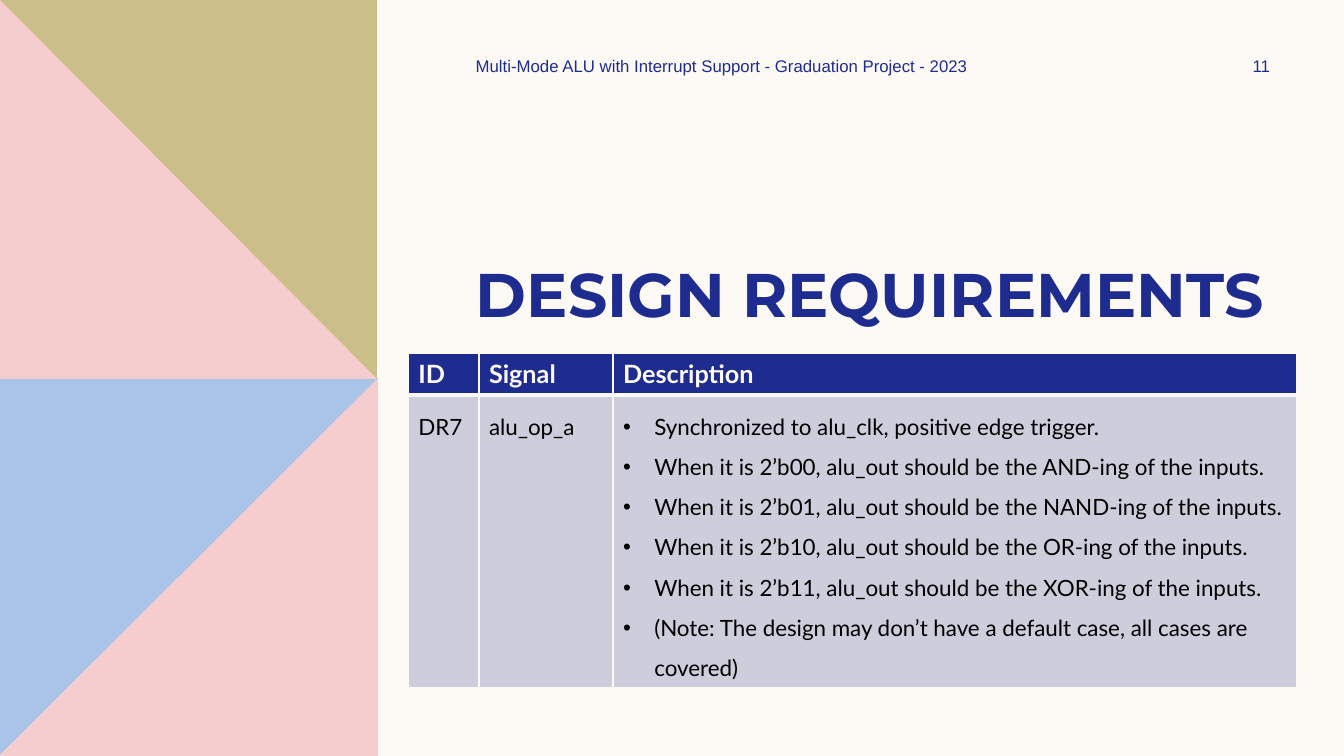
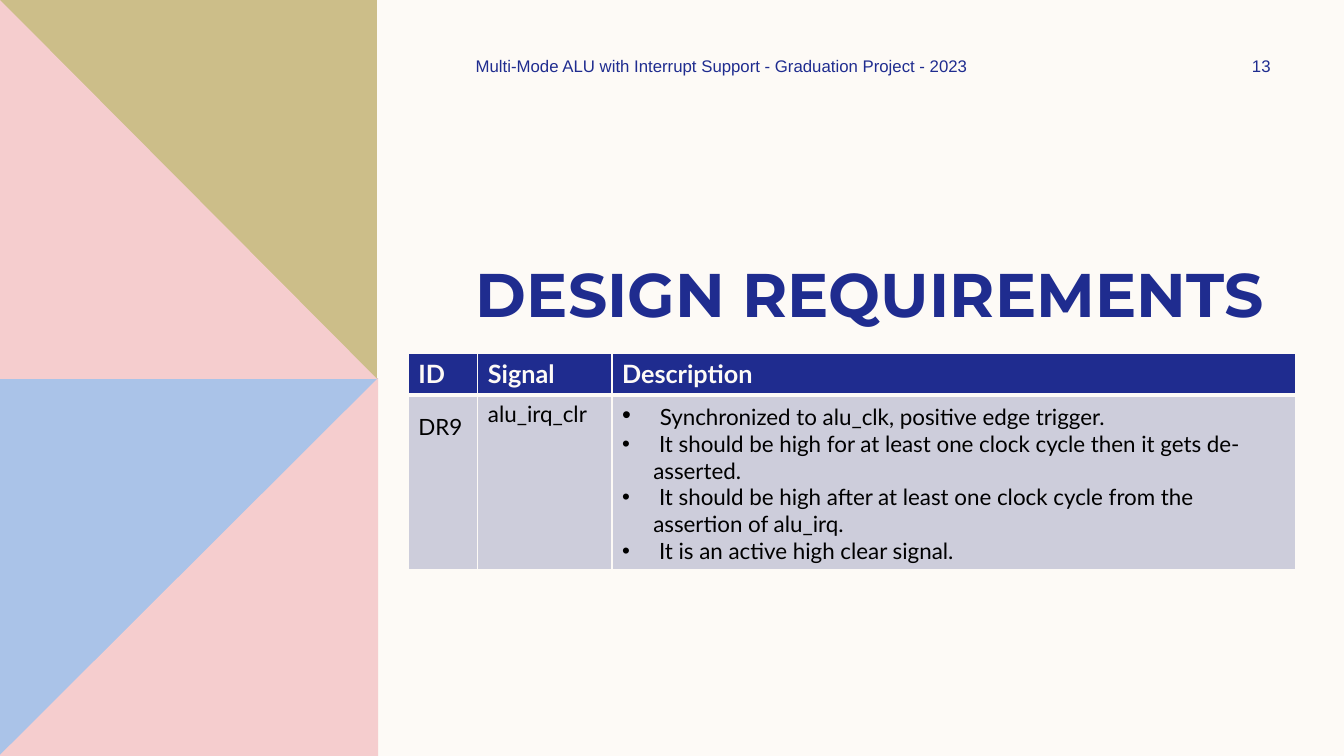
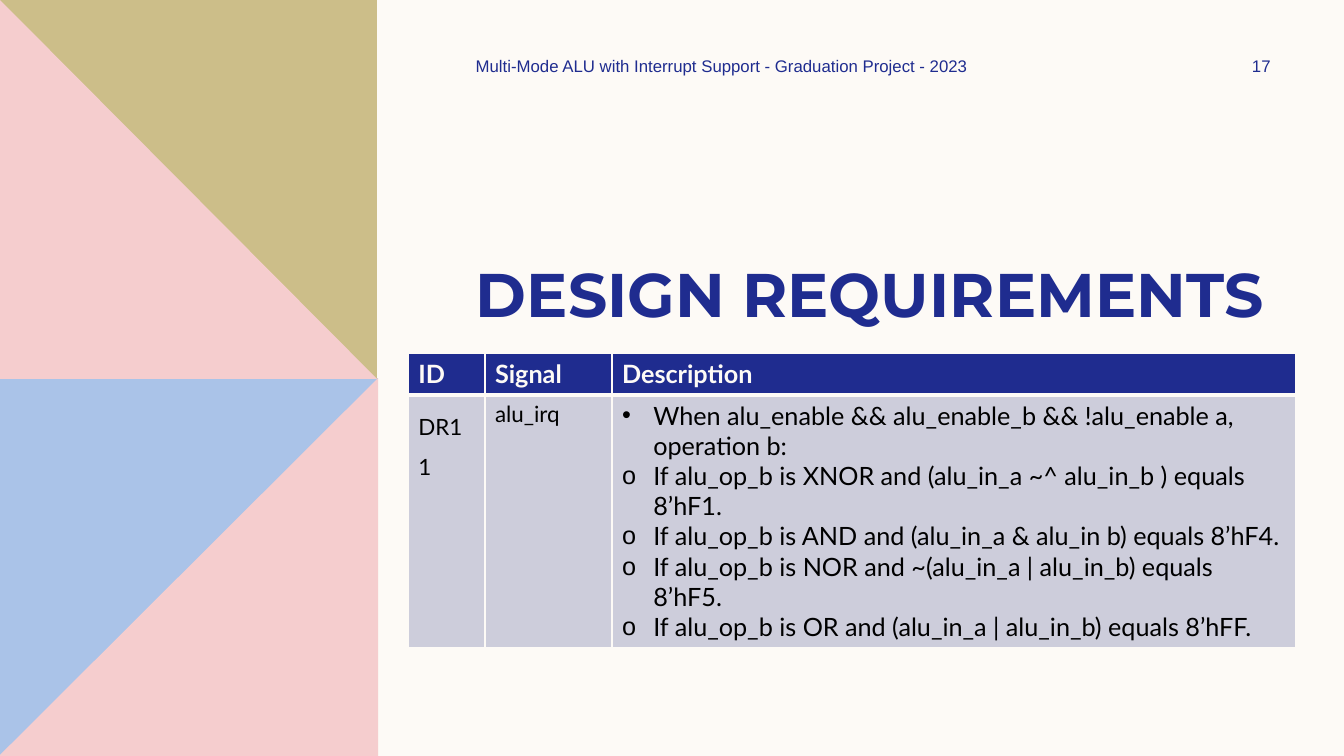
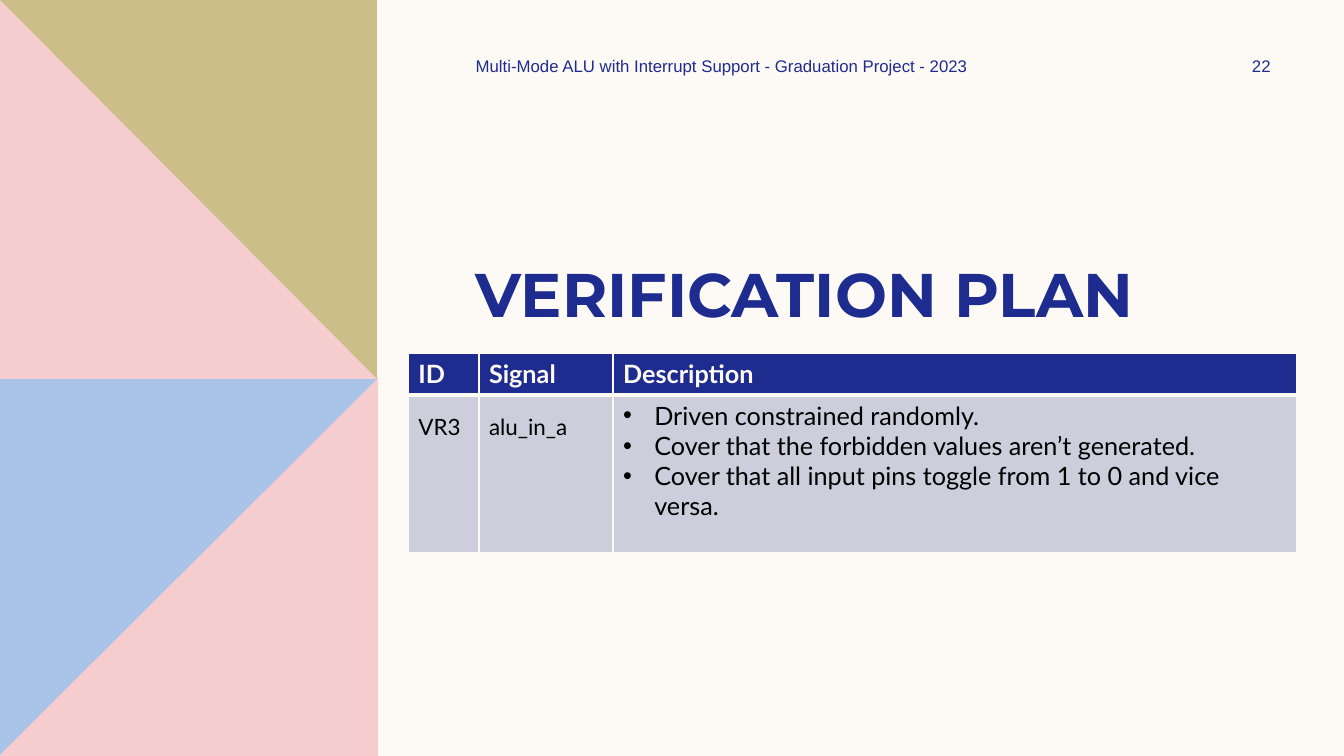
from dataclasses import dataclass

from lxml import etree
from pptx import Presentation
from pptx.dml.color import RGBColor
from pptx.enum.text import MSO_ANCHOR, MSO_AUTO_SIZE, PP_ALIGN
from pptx.oxml.ns import qn
from pptx.util import Pt

PX = 9144  # EMU per px, 100 px to the inch
TITLE_ONLY = 5
LEFT, CENTER = PP_ALIGN.LEFT, PP_ALIGN.CENTER
TOP, MIDDLE = MSO_ANCHOR.TOP, MSO_ANCHOR.MIDDLE
NO_AUTOFIT = MSO_AUTO_SIZE.NONE

NAVY, CREAM, BLACK = "1F2C8F", "FDFAF6", "000000"
BLUE, PINK, OLIVE, CELL_GREY = "AAC3E8", "F5CDCE", "CCBE89", "CDCDDB"
TITLE_FONT, FOOTER_FONT, TABLE_FONT = "Montserrat", "Arial", "Lato"
FOOTER = "Multi-Mode ALU with Interrupt Support - Graduation Project - 2023"
HEADINGS = ("ID", "Signal", "Description")
HEADER_HEIGHT = 41
BULLET_INDENT = 31

# Side panel: two squares, each covered by a triangle
PANEL_PARTS = (
    (BLUE, ((0, 375), (375, 375), (375, 750), (0, 750))),
    (PINK, ((375, 375), (375, 750), (0, 750), (0, 749))),
    (OLIVE, ((0, 0), (374, 0), (374, 376), (0, 376))),
    (PINK, ((0, 0), (374, 376), (0, 376))),
)


@dataclass
class Requirement:
    title: str
    page: int
    code: str
    signal: str
    points: tuple
    columns: tuple
    height: int
    size: int = 16
    signal_spacing: float = 1.0
    point_spacing: float = 1.0
    bullets: str = "•"  # the last one repeats
    lead_size: int = 0  # size of the first point's leading space


REQUIREMENTS = (
    Requirement(
        "DESIGN REQUIREMENTS", 11, "DR7", "alu_op_a",
        ("Synchronized to alu_clk, positive edge trigger.",
         "When it is 2’b00, alu_out should be the AND-ing of the inputs.",
         "When it is 2’b01, alu_out should be the NAND-ing of the inputs.",
         "When it is 2’b10, alu_out should be the OR-ing of the inputs.",
         "When it is 2’b11, alu_out should be the XOR-ing of the inputs.",
         "(Note: The design may don’t have a default case, all cases are covered)"),
        (70, 133, 678), 286, signal_spacing=1.5, point_spacing=1.5),
    Requirement(
        "DESIGN REQUIREMENTS", 13, "DR9", "alu_irq_clr",
        (" Synchronized to alu_clk, positive edge trigger.",
         " It should be high for at least one clock cycle then it gets de-asserted.",
         " It should be high after at least one clock cycle from the assertion of alu_irq.",
         " It is an active high clear signal."),
        (69, 133, 678), 171, lead_size=18),
    Requirement(
        "DESIGN REQUIREMENTS", 17, "DR11", "alu_irq",
        ("When alu_enable && alu_enable_b && !alu_enable a, operation b:",
         "If alu_op_b is XNOR and (alu_in_a ~^ alu_in_b ) equals 8’hF1.",
         "If alu_op_b is AND and (alu_in_a & alu_in b) equals 8’hF4.",
         "If alu_op_b is NOR and ~(alu_in_a | alu_in_b) equals 8’hF5.",
         "If alu_op_b is OR and (alu_in_a | alu_in_b) equals 8’hFF."),
        (76, 126, 678), 249, size=18, bullets="•o"),
    Requirement(
        "VERIFICATION PLAN", 22, "VR3", "alu_in_a",
        ("Driven constrained randomly.",
         "Cover that the forbidden values aren’t generated.",
         "Cover that all input pins toggle from 1 to 0 and vice versa."),
        (70, 133, 678), 156, size=18, signal_spacing=1.5),
)


def color(value):
    return RGBColor.from_string(value)


def paint(fill, value):
    fill.solid()
    fill.fore_color.rgb = color(value)


def style(paragraph, face, size, value, bold=False):
    font = paragraph.font
    font.name, font.size, font.bold = face, Pt(size), bold
    font.color.rgb = color(value)


def place(shape, left, top, width, height):
    shape.left, shape.top = left * PX, top * PX
    shape.width, shape.height = width * PX, height * PX


# Shared background and panel, held by the layout
def add_polygon(slide, value, points):
    builder = slide.shapes.build_freeform(*points[0], scale=PX)
    builder.add_line_segments(points[1:], close=True)
    polygon = builder.convert_to_shape()
    paint(polygon.fill, value)
    polygon.line.fill.background()
    polygon.shadow.inherit = False
    return polygon


def clear_layout_footers(layout):
    for placeholder in list(layout.placeholders):
        if placeholder.placeholder_format.idx:
            layout.shapes.element.remove(placeholder.element)


def add_panel(layout, slide):
    paint(layout.background.fill, CREAM)
    for value, points in PANEL_PARTS:
        polygon = add_polygon(slide, value, points)
        layout.shapes.element.append(polygon.element)


# Title and header line
def set_title(slide, text):
    title = slide.shapes.title
    place(title, 462, 249, 881, 84)
    frame = title.text_frame
    frame.text = text
    frame.auto_size, frame.vertical_anchor = NO_AUTOFIT, TOP
    frame.paragraphs[0].alignment = LEFT
    style(frame.paragraphs[0], TITLE_FONT, 44, NAVY, bold=True)


def add_label(slide, text, left, width, align):
    label = slide.shapes.add_textbox(0, 0, 0, 0)
    place(label, left, 50, width, 30)
    frame = label.text_frame
    frame.text = text
    frame.word_wrap, frame.vertical_anchor = True, MIDDLE
    frame.paragraphs[0].alignment = align
    style(frame.paragraphs[0], FOOTER_FONT, 12, NAVY)


# Requirement table
def add_borders(cell, top, bottom):
    properties = cell._tc.get_or_add_tcPr()
    for side, width in (("L", 1), ("R", 1), ("T", top), ("B", bottom)):
        line = etree.SubElement(properties, qn(f"a:ln{side}"), w=str(Pt(width)))
        fill = etree.SubElement(line, qn("a:solidFill"))
        etree.SubElement(fill, qn("a:srgbClr"), val=CREAM)


def add_bullet(paragraph, mark):
    properties = paragraph._p.get_or_add_pPr()
    properties.set("marL", str(BULLET_INDENT * PX))
    properties.set("indent", str(-BULLET_INDENT * PX))
    etree.SubElement(properties, qn("a:buFont"), typeface="Arial")
    etree.SubElement(properties, qn("a:buChar"), char=mark)


def fill_header(cell, text):
    add_borders(cell, 1, 3)
    paint(cell.fill, NAVY)
    cell.text = text
    style(cell.text_frame.paragraphs[0], TABLE_FONT, 18, CREAM, bold=True)


def fill_body(cell, lines, size, spacing, bullets=""):
    add_borders(cell, 3, 1)
    paint(cell.fill, CELL_GREY)
    cell.text = "\n".join(lines)
    for index, paragraph in enumerate(cell.text_frame.paragraphs):
        if bullets:
            add_bullet(paragraph, bullets[min(index, len(bullets) - 1)])
        paragraph.line_spacing = spacing
        style(paragraph, TABLE_FONT, size, BLACK)


def enlarge_leading_space(paragraph, size):
    space = paragraph.runs[0]
    rest = paragraph.add_run()
    rest.text = space.text[1:]
    space.text = " "
    space.font.size = Pt(size)


def add_requirement_table(slide, item):
    frame = slide.shapes.add_table(
        2, 3, 405 * PX, 351 * PX, sum(item.columns) * PX,
        (HEADER_HEIGHT + item.height) * PX)
    table = frame.table
    table.horz_banding = False
    for row, height in zip(table.rows, (HEADER_HEIGHT, item.height)):
        row.height = height * PX
    for index, (width, heading) in enumerate(zip(item.columns, HEADINGS)):
        table.columns[index].width = width * PX
        fill_header(table.cell(0, index), heading)
    fill_body(table.cell(1, 0), [item.code], 16, 1.5)
    fill_body(table.cell(1, 1), [item.signal], 16, item.signal_spacing)
    description = table.cell(1, 2)
    fill_body(description, item.points, item.size, item.point_spacing, item.bullets)
    if item.lead_size:
        enlarge_leading_space(description.text_frame.paragraphs[0], item.lead_size)


def main():
    deck = Presentation()
    deck.slide_width, deck.slide_height = 1333 * PX, 750 * PX
    layout = deck.slide_layouts[TITLE_ONLY]
    clear_layout_footers(layout)
    for item in REQUIREMENTS:
        slide = deck.slides.add_slide(layout)
        set_title(slide, item.title)
        add_label(slide, FOOTER, 462, 600, LEFT)
        add_label(slide, str(item.page), 1197, 108, CENTER)
        add_requirement_table(slide, item)
    add_panel(layout, deck.slides[0])
    deck.save("out.pptx")


if __name__ == "__main__":
    main()
